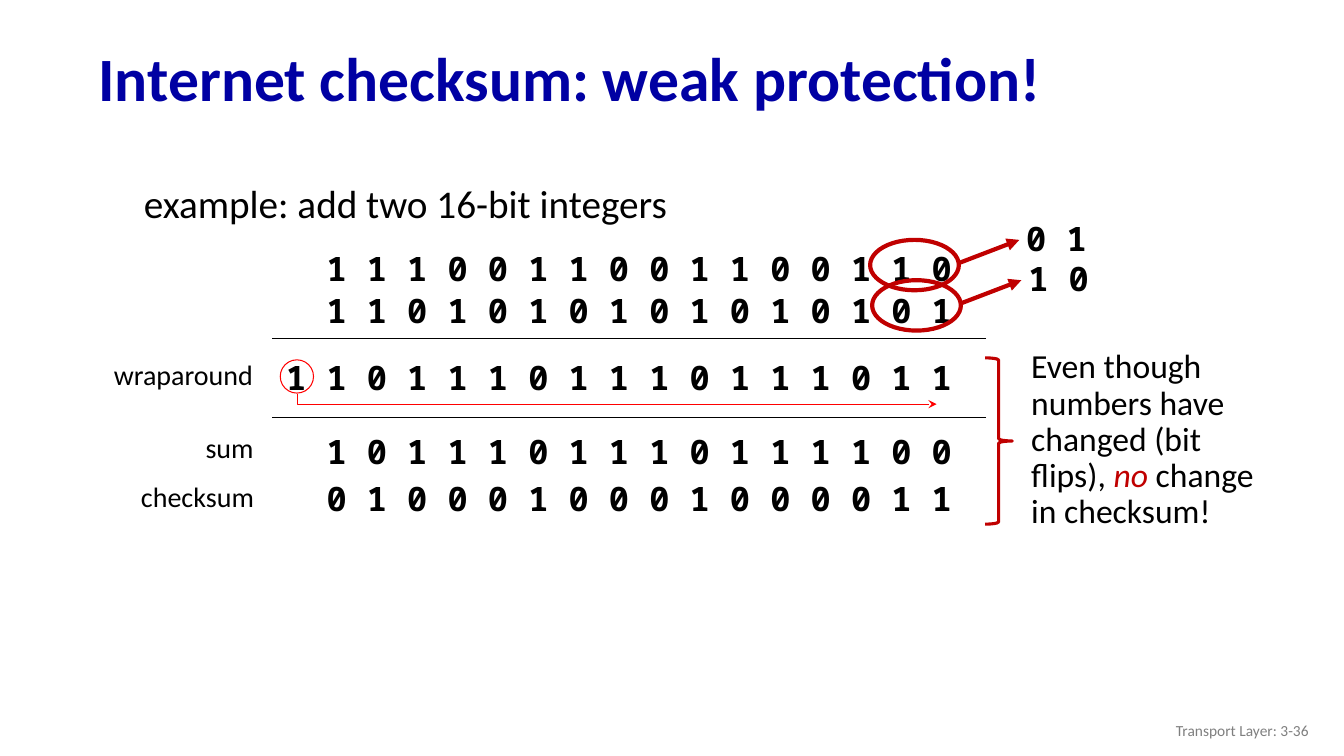
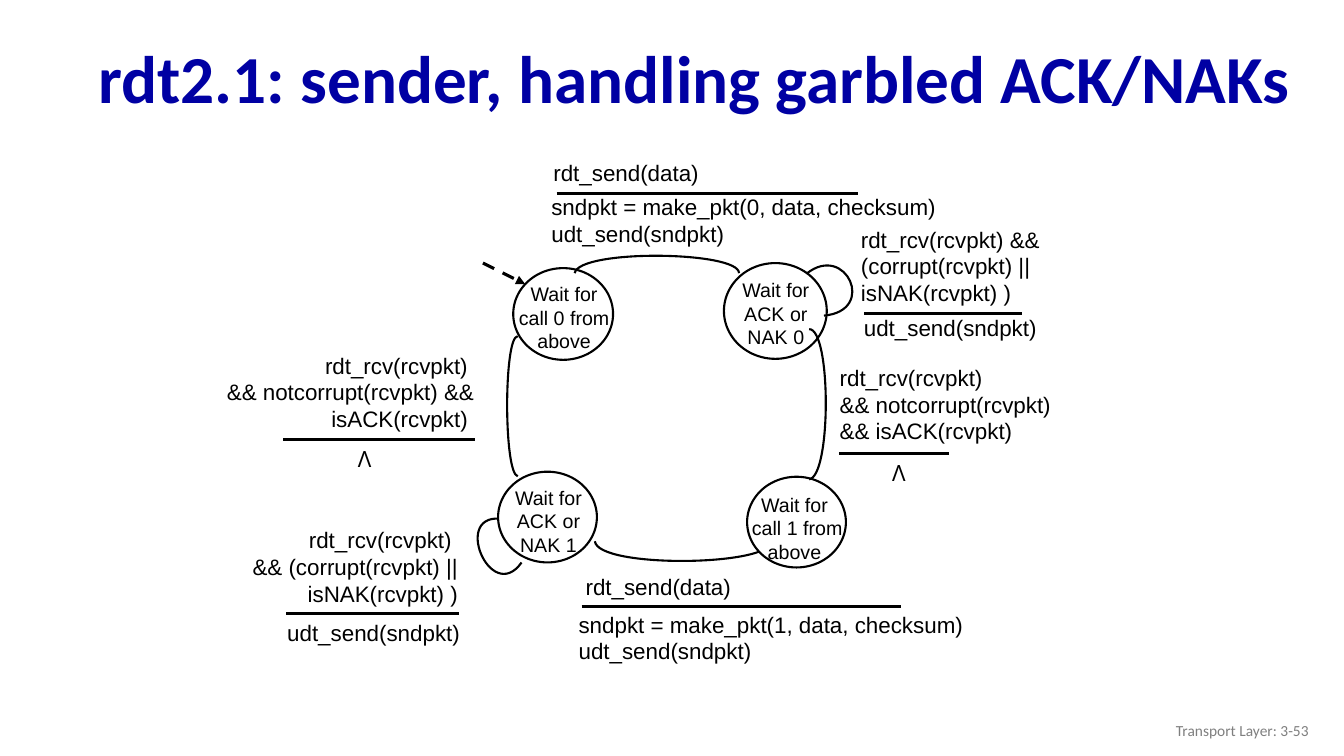
from pptx import Presentation
from pptx.dml.color import RGBColor
from pptx.enum.dml import MSO_LINE
from pptx.enum.shapes import MSO_CONNECTOR, MSO_SHAPE
from pptx.enum.text import MSO_ANCHOR, PP_ALIGN
from pptx.oxml.ns import qn
from pptx.util import Inches, Pt
from lxml.etree import SubElement

HUES = {"title": "0000A3", "ink": "000000", "foot": "7F7F7F",
        "mark": "C00000", "wrap": "FF0000", "paper": "FFFFFF"}
SANS, MONO, CODE, GREEK = "Calibri", "Noto Sans Mono", "Arial", "Open Sans"
LEFT, MID, RIGHT = PP_ALIGN.LEFT, PP_ALIGN.CENTER, PP_ALIGN.RIGHT


def hue(name):
    return RGBColor.from_string(HUES[name])


def style(font, size, face, color="ink", bold=False):
    font.size, font.name, font.bold = Pt(size), face, bold
    font.color.rgb = hue(color)


def write(slide, x, y, w, h, text, size, face=SANS, color="ink", bold=False,
          align=LEFT, anchor=MSO_ANCHOR.TOP, space=1.0):
    box = slide.shapes.add_textbox(Inches(x), Inches(y), Inches(w), Inches(h))
    frame = box.text_frame
    frame.word_wrap = True
    frame.vertical_anchor = anchor
    frame.text = text
    for para in frame.paragraphs:
        para.alignment, para.line_spacing = align, space
        for run in para.runs:
            style(run.font, size, face, color, bold)
    return frame


def stroke(item, color, width, tip=None, dash=None):
    item.line.color.rgb = hue(color)
    item.line.width = Pt(width)
    if dash:
        item.line.dash_style = dash
    if tip:
        ln = item.element.spPr.find(qn("a:ln"))
        SubElement(ln, qn("a:tailEnd"), type=tip)


def line(slide, x1, y1, x2, y2, width=2.25, color="ink", tip=None, dash=None):
    item = slide.shapes.add_connector(
        MSO_CONNECTOR.STRAIGHT, Inches(x1), Inches(y1), Inches(x2), Inches(y2))
    stroke(item, color, width, tip, dash)
    SubElement(item.element.spPr, qn("a:effectLst"))


def shape(slide, kind, x, y, w, h, color, width, fill=None):
    item = slide.shapes.add_shape(kind, Inches(x), Inches(y), Inches(w), Inches(h))
    item.shadow.inherit = False
    if fill:
        item.fill.solid()
        item.fill.fore_color.rgb = hue(fill)
    else:
        item.fill.background()
    stroke(item, color, width)
    return item


def trace(slide, points, color, width, tip=None):
    dots = [(Inches(x), Inches(y)) for x, y in points]
    pen = slide.shapes.build_freeform(*dots[0], scale=1.0)
    pen.add_line_segments(dots[1:], close=False)
    item = pen.convert_to_shape()
    item.shadow.inherit = False
    item.fill.background()
    stroke(item, color, width, tip)
    return item


def curve(slide, turn, *knots):
    item = trace(slide, knots, "ink", 1.5)
    track = next(item.element.iter(qn("a:path")))
    legs = track.findall(qn("a:lnTo"))
    bend = SubElement(track, qn("a:cubicBezTo"))
    for leg in legs:
        bend.append(leg[0])
        track.remove(leg)
    item.rotation = turn


def page(deck, title, size, number):
    slide = deck.slides.add_slide(deck.slide_layouts[6])
    write(slide, 0.88, 0.32, 12.14, 0.98, title, size, color="title", bold=True,
          anchor=MSO_ANCHOR.MIDDLE, space=0.9)
    write(slide, 10.08, 7.05, 3, 0.4, f"Transport Layer: 3-{number}", 11,
          color="foot", align=RIGHT, anchor=MSO_ANCHOR.MIDDLE)
    return slide


def bits(slide, x, y, text, w=6.45):
    write(slide, x, y, w, 0.5, text, 24, MONO, bold=True)


def flip(slide, x, y, text):
    shape(slide, MSO_SHAPE.OVAL, x, y, 0.88, 0.5, "mark", 3)
    line(slide, x + 0.88, y + 0.23, x + 1.48, y, 3, "mark", "triangle")
    bits(slide, x + 1.45, y - 0.27, text, 1.01)


def checksum(deck):
    slide = page(deck, "Internet checksum: weak protection!", 44, 36)
    write(slide, 1.33, 1.59, 8.5, 3, "example: add two 16-bit integers", 28, space=1.3)
    for y in (3.36, 4.14):
        line(slide, 9.78, y, 2.7, y, 1)
    for x, y, w, text in ((1.03, 3.5, 1.59, "wraparound"), (1.94, 4.22, 0.7, "sum"),
                          (1.3, 4.71, 1.34, "checksum")):
        write(slide, x, y, w, 0.44, text, 20)
    for y, text in ((2.41, "1 1 1 0 0 1 1 0 0 1 1 0 0 1 1 0"),
                    (2.83, "1 1 0 1 0 1 0 1 0 1 0 1 0 1 0 1"),
                    (4.23, "1 0 1 1 1 0 1 1 1 0 1 1 1 1 0 0"),
                    (4.69, "0 1 0 0 0 1 0 0 0 1 0 0 0 0 1 1")):
        bits(slide, 3.14, y, text)
    bits(slide, 2.74, 3.49, "1 1 0 1 1 1 0 1 1 1 0 1 1 1 0 1 1", 6.85)
    shape(slide, MSO_SHAPE.OVAL, 2.78, 3.57, 0.33, 0.33, "wrap", 0.75)
    trace(slide, [(2.95, 3.91), (2.95, 4.01), (9.29, 4.01)], "wrap", 0.75, "stealth")
    flip(slide, 8.63, 2.38, "0 1")
    flip(slide, 8.65, 2.78, "1 0")
    brace = shape(slide, MSO_SHAPE.RIGHT_BRACE, 9.77, 3.55, 0.27, 1.65, "mark", 2.25)
    brace.adjustments[0] = 0.083
    note = write(slide, 10.13, 3.42, 2.63, 1.92,
                 "Even though numbers have changed (bit flips), ", 24, space=0.9)
    for text, color in (("no", "mark"), (" change in checksum!", "ink")):
        run = note.paragraphs[0].add_run()
        run.text = text
        style(run.font, 24, SANS, color)
        run.font.italic = color == "mark"


def state(slide, x, y, w, h, text, left, top, wide):
    shape(slide, MSO_SHAPE.OVAL, x, y, w, h, "ink", 1.5, "paper")
    write(slide, left, top, wide, 0.67, text, 14, CODE, align=MID)


def label(slide, event, rule, act):
    start, end, y = rule
    line(slide, start, y, end, y)
    for x, top, w, h, text, align in (event, act):
        face = GREEK if text == "Λ" else CODE
        write(slide, x, top, w, h, text, 16, face, align=align)


def sender(deck):
    slide = page(deck, "rdt2.1: sender, handling garbled ACK/NAKs", 48, 53)
    state(slide, 5.09, 2.66, 0.99, 0.91, "Wait for call 0 from above", 5, 2.75, 1.19)
    line(slide, 4.79, 2.61, 5.21, 2.82, tip="triangle", dash=MSO_LINE.DASH)
    state(slide, 7.18, 2.61, 1.02, 0.95, "Wait for ACK or NAK 0", 7.1, 2.71, 1.19)
    curve(slide, 180, (7.33, 2.47), (7.29, 2.71), (5.7, 2.69), (5.7, 2.47))
    curve(slide, 337.4, (8.07, 2.6), (8.55, 2.46), (8.58, 3.21), (8.07, 3.05))
    curve(slide, 0, (5.9, 5.37), (5.93, 5.64), (7.65, 5.62), (7.65, 5.37))
    curve(slide, 243.5, (4.59, 5.65), (4.34, 5.18), (5.38, 5.25), (5.05, 5.69))
    state(slide, 7.41, 4.73, 0.98, 0.9, "Wait for\n call 1 from above", 7.27, 4.84, 1.22)
    state(slide, 4.94, 4.68, 0.98, 0.9, "Wait for ACK or NAK 1", 4.87, 4.77, 1.14)
    curve(slide, 270, (7.39, 3.9), (7.42, 4.12), (8.88, 4.12), (8.88, 3.9))
    curve(slide, 90, (5.76, 3.96), (5.73, 4.1), (4.37, 4.1), (4.37, 3.96))
    make = "sndpkt = make_pkt({}, data, checksum)\nudt_send(sndpkt)"
    label(slide, (5.39, 1.53, 2.31, 0.33, "rdt_send(data)", LEFT), (5.52, 8.51, 1.92),
          (5.37, 1.87, 4.04, 0.44, make.format(0), LEFT))
    label(slide, (5.71, 5.64, 2.61, 0.31, "rdt_send(data)", LEFT), (5.77, 8.94, 6.02),
          (5.64, 6.01, 4.12, 0.44, make.format(1), LEFT))
    label(slide, (8.44, 2.19, 3.48, 0.62,
                  "rdt_rcv(rcvpkt) && (corrupt(rcvpkt) ||\nisNAK(rcvpkt) )", LEFT),
          (8.57, 10.14, 3.11), (8.47, 3.07, 2.47, 0.44, "udt_send(sndpkt)", LEFT))
    label(slide, (2.03, 5.17, 2.61, 0.62,
                  "rdt_rcv(rcvpkt) \n&& (corrupt(rcvpkt) ||\nisNAK(rcvpkt) )", RIGHT),
          (2.84, 4.55, 6.09), (2.75, 6.09, 1.99, 0.3, "udt_send(sndpkt)", LEFT))
    label(slide, (8.23, 3.56, 3.28, 0.62,
                  "rdt_rcv(rcvpkt)\n&& notcorrupt(rcvpkt)\n&& isACK(rcvpkt)", LEFT),
          (8.32, 9.41, 4.5), (8.74, 4.51, 0.35, 0.37, "Λ", MID))
    label(slide, (0.84, 3.44, 3.96, 0.62,
                  "rdt_rcv(rcvpkt) \n&& notcorrupt(rcvpkt) && isACK(rcvpkt) ", RIGHT),
          (2.81, 4.71, 4.36), (3.44, 4.37, 0.35, 0.37, "Λ", MID))


def main():
    deck = Presentation()
    deck.slide_width, deck.slide_height = Inches(13.33), Inches(7.5)
    checksum(deck)
    sender(deck)
    deck.save("out.pptx")


if __name__ == "__main__":
    main()
